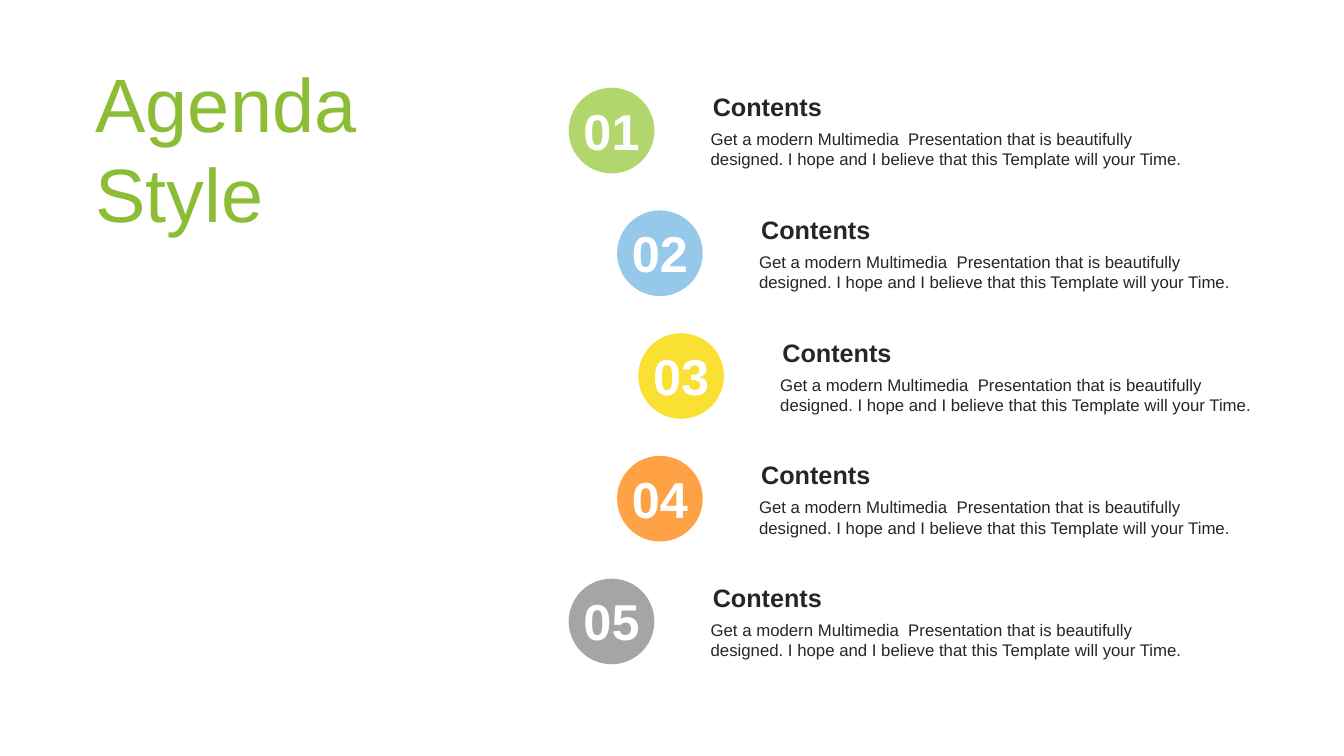
from dataclasses import dataclass

from pptx import Presentation
from pptx.dml.color import RGBColor
from pptx.enum.shapes import MSO_SHAPE
from pptx.enum.text import MSO_ANCHOR, PP_ALIGN
from pptx.util import Inches, Pt

OVAL = MSO_SHAPE.OVAL
TOP, MIDDLE = MSO_ANCHOR.TOP, MSO_ANCHOR.MIDDLE
LEFT, CENTER = PP_ALIGN.LEFT, PP_ALIGN.CENTER

GREEN = RGBColor(0x8C, 0xBD, 0x35)
LIGHT_GREEN = RGBColor(0xB0, 0xD6, 0x6C)
BLUE = RGBColor(0x96, 0xC8, 0xE9)
YELLOW = RGBColor(0xFB, 0xE0, 0x34)
ORANGE = RGBColor(0xFF, 0xA2, 0x46)
GRAY = RGBColor(0xA5, 0xA5, 0xA5)
DARK = RGBColor(0x26, 0x26, 0x26)
WHITE = RGBColor(0xFF, 0xFF, 0xFF)

FONT = "Arial"
FIRST_TOP = 0.87
ROW_STEP = 1.2175
DIAMETER = 0.85
WIDE_INSET = 0.12
HEADING = "Contents"
BODY = ("Get a modern Multimedia  Presentation that is beautifully designed. "
        "I hope and I believe that this Template will your Time.")


@dataclass(frozen=True)
class AgendaItem:
    left: float
    color: RGBColor


@dataclass(frozen=True)
class TextStyle:
    size: int
    color: RGBColor
    bold: bool = False
    align: PP_ALIGN = LEFT
    anchor: MSO_ANCHOR = TOP
    inset: float = 0.1


TITLE_STYLE = TextStyle(54, GREEN, anchor=MIDDLE)
BODY_STYLE = TextStyle(12, DARK)
HEADING_STYLE = TextStyle(18, DARK, bold=True, inset=WIDE_INSET)
NUMBER_STYLE = TextStyle(36, WHITE, bold=True, align=CENTER, inset=WIDE_INSET)

ITEMS = [
    AgendaItem(5.64, LIGHT_GREEN),
    AgendaItem(6.12, BLUE),
    AgendaItem(6.33, YELLOW),
    AgendaItem(6.12, ORANGE),
    AgendaItem(5.64, GRAY),
]


def add_text(shapes, text: str, left: float, top: float, width: float,
             height: float, style: TextStyle) -> None:
    sp = shapes.add_textbox(Inches(left), Inches(top), Inches(width), Inches(height))
    tf = sp.text_frame
    tf.word_wrap = True
    tf.vertical_anchor = style.anchor
    tf.margin_left = tf.margin_right = Inches(style.inset)
    p = tf.paragraphs[0]
    p.alignment = style.align
    r = p.add_run()
    r.text = text
    r.font.name = FONT
    r.font.size = Pt(style.size)
    r.font.bold = style.bold
    r.font.color.rgb = style.color


def add_item(slide, number: int, item: AgendaItem) -> None:
    top = FIRST_TOP + (number - 1) * ROW_STEP
    text_left = item.left + 1.31
    shapes = slide.shapes.add_group_shape().shapes
    add_text(shapes, BODY, text_left, top + 0.36, 4.93, 0.5, BODY_STYLE)
    add_text(shapes, HEADING, text_left, top - 0.01, 4.93, 0.4, HEADING_STYLE)
    sp = shapes.add_shape(OVAL, Inches(item.left), Inches(top),
                          Inches(DIAMETER), Inches(DIAMETER))
    sp.shadow.inherit = False
    sp.fill.solid()
    sp.fill.fore_color.rgb = item.color
    sp.line.fill.background()
    add_text(shapes, f"{number:02}", item.left - 0.1, top + 0.07, 1.05, 0.71,
             NUMBER_STYLE)


def main() -> None:
    prs = Presentation()
    prs.slide_width = Inches(13.33)
    prs.slide_height = Inches(7.5)
    s = prs.slides.add_slide(prs.slide_layouts[6])
    add_text(s.shapes, "Agenda Style", 0.85, 0.5, 2.97, 1.92, TITLE_STYLE)
    for number, item in enumerate(ITEMS, start=1):
        add_item(s, number, item)
    prs.save("out.pptx")


if __name__ == "__main__":
    main()
